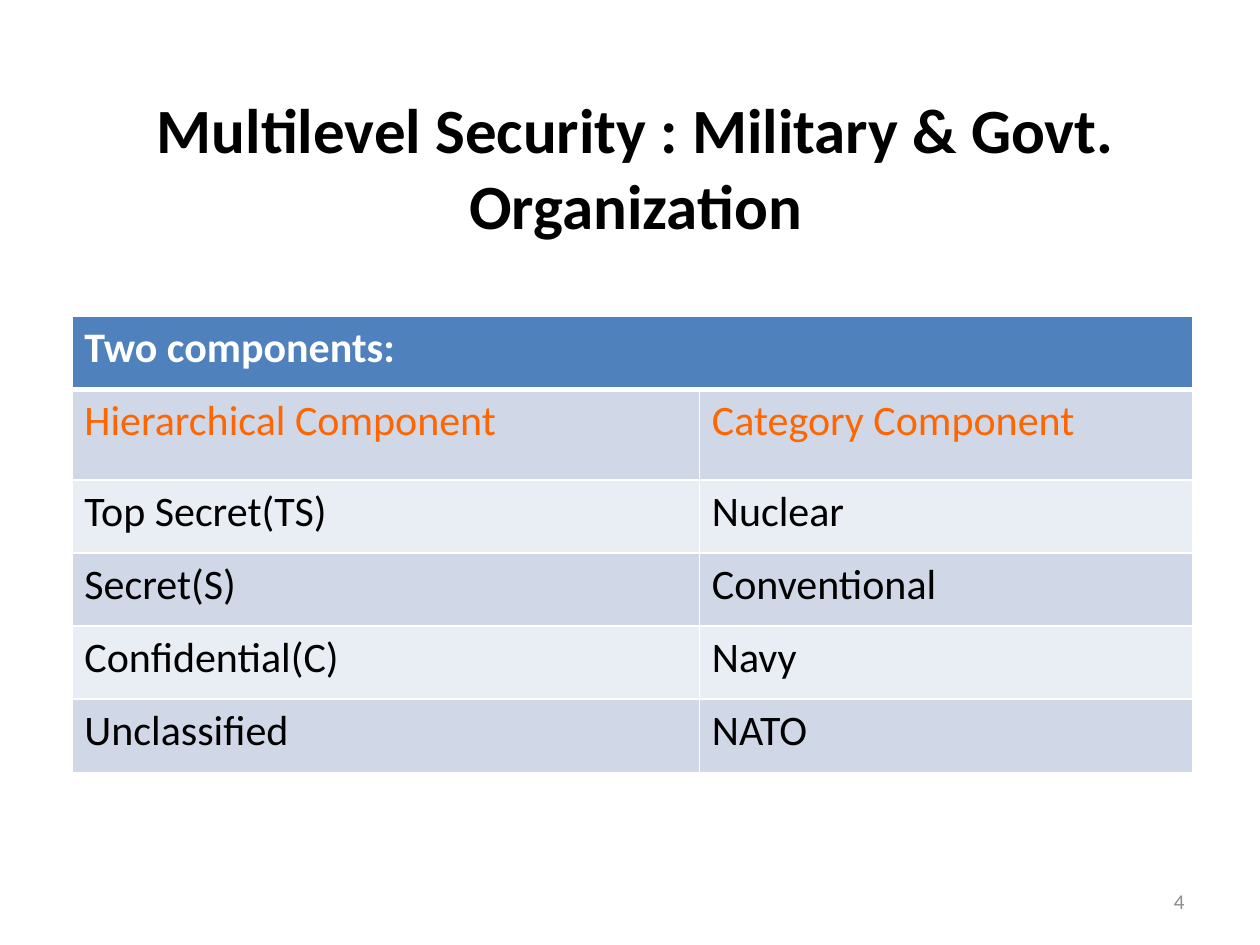
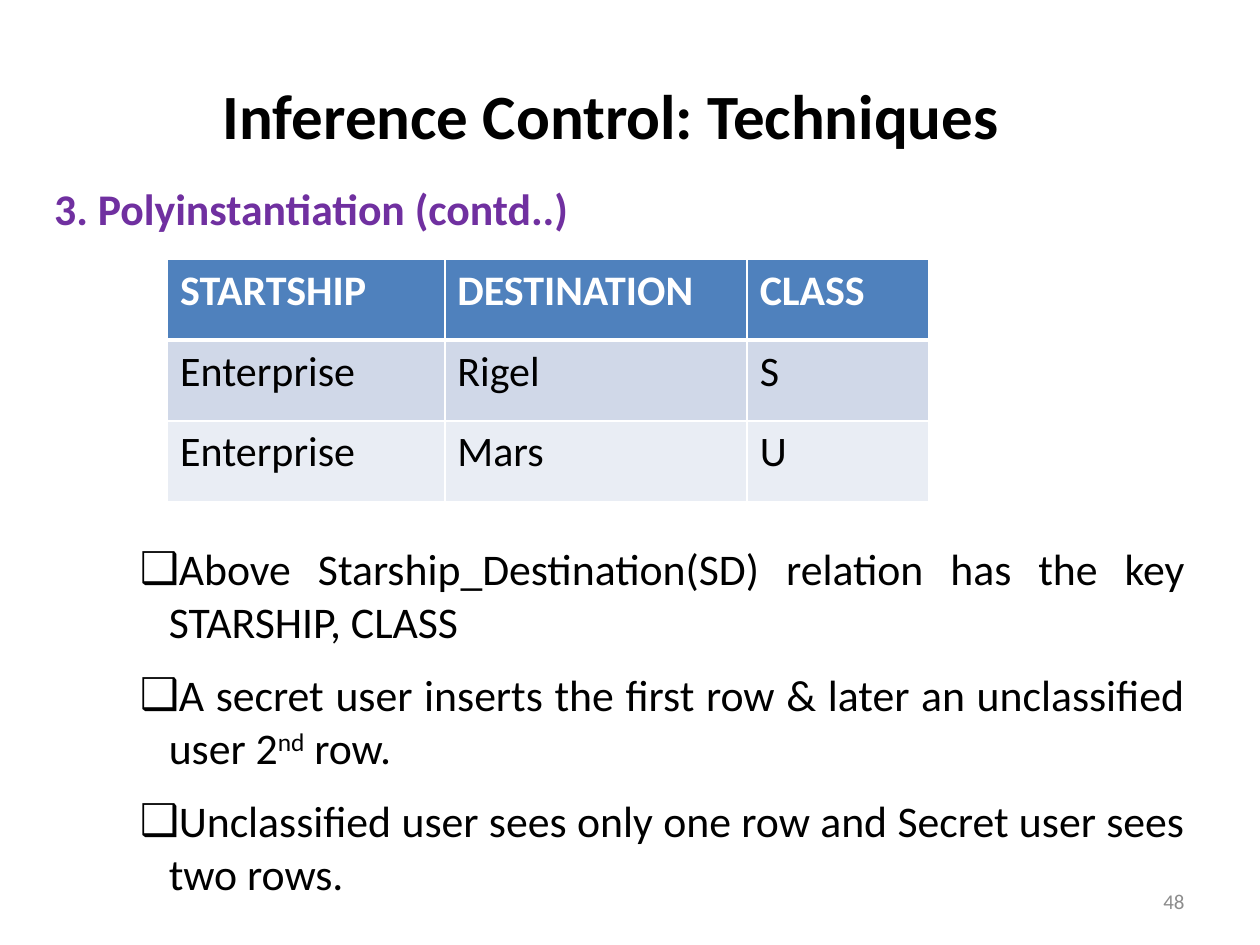
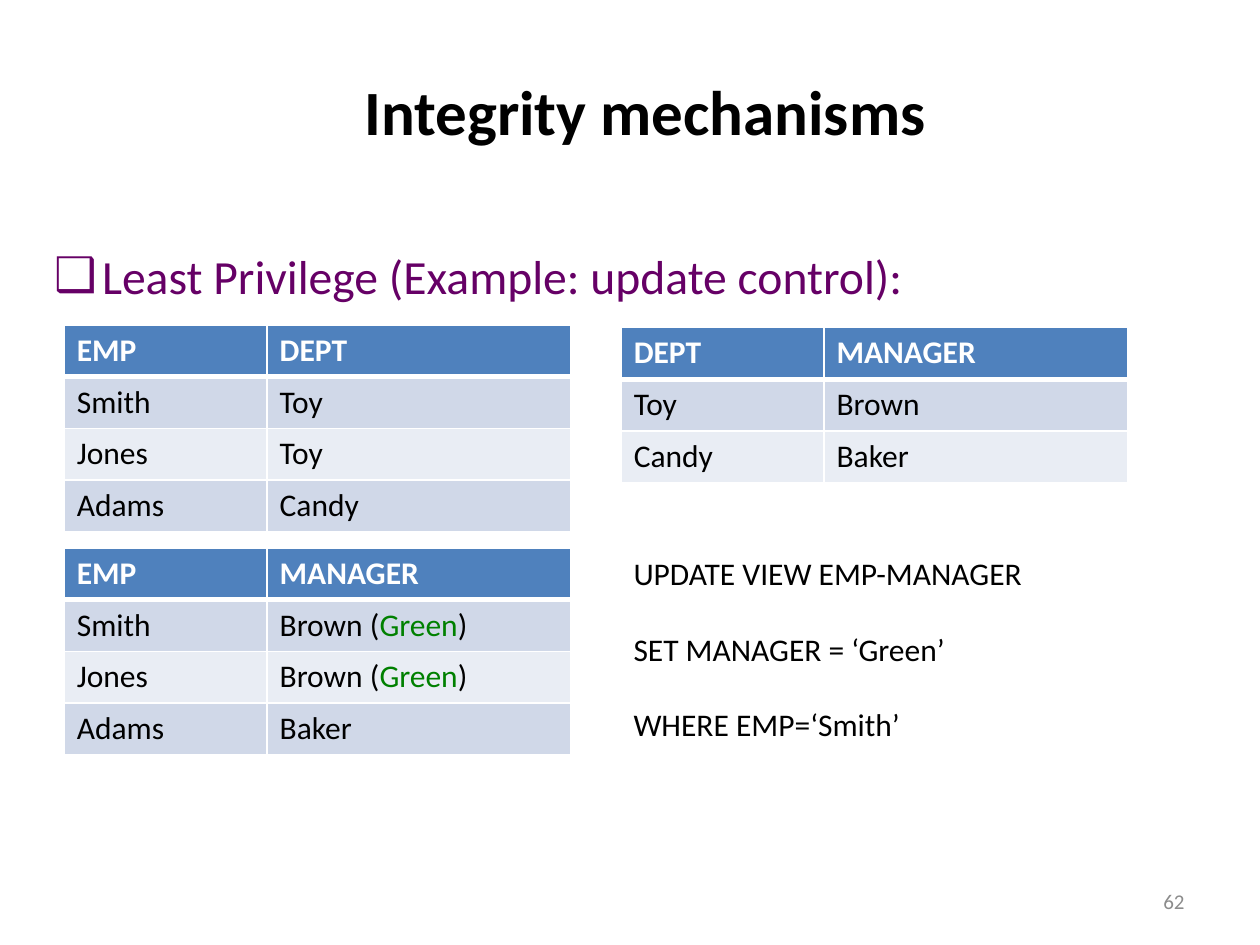
"""Builds three database security slides: tables, lists and a short query."""
from lxml.etree import SubElement
from pptx import Presentation
from pptx.dml.color import RGBColor
from pptx.enum.text import MSO_ANCHOR as Anchor, MSO_AUTO_SIZE as AutoSize, PP_ALIGN as Align
from pptx.oxml import parse_xml
from pptx.oxml.ns import nsdecls, qn
from pptx.util import Inches, Pt

COLORS = {
    "text": "000000", "white": "FFFFFF", "header": "4F81BD", "dark_band": "D0D8E8",
    "light_band": "E9EDF4", "orange": "FF6600", "purple": "7030A0", "plum": "660066",
    "green": "008000", "number": "8C8C8C",
}
FONT = "Calibri"
TITLE_ONLY, TITLE_AND_BODY = 5, 1


def write(para, text, size=18, color="text", bold=False, superscript=False):
    """Add one formatted run to a paragraph."""
    span = para.add_run()
    span.text = text
    span.font.name = FONT
    span.font.size = Pt(size)
    span.font.bold = bold
    span.font.color.rgb = RGBColor.from_string(COLORS[color])
    if superscript:
        span.font._element.set("baseline", "30000")


def write_parts(para, content, **style):
    """Write a plain string, or a list of strings and (string, changes) pairs."""
    for part in [content] if isinstance(content, str) else content:
        text, changes = (part, {}) if isinstance(part, str) else part
        write(para, text, **{**style, **changes})


def place(shape, left, top, width, height):
    """Move and size a shape, in inches."""
    shape.left, shape.top = Inches(left), Inches(top)
    shape.width, shape.height = Inches(width), Inches(height)


def set_indent(para, margin, hanging, bullet=None):
    """Set the paragraph indent and its bullet character."""
    properties = para._p.get_or_add_pPr()
    properties.set("marL", str(Inches(margin)))
    properties.set("indent", str(Inches(-hanging)))
    if bullet:
        SubElement(properties, qn("a:buChar")).set("char", bullet)
    else:
        SubElement(properties, qn("a:buNone"))


def set_borders(cell, top=1, bottom=1):
    """Draw white lines around a table cell."""
    properties = cell._tc.get_or_add_tcPr()
    widths = {"lnL": 1, "lnR": 1, "lnT": top, "lnB": bottom}
    for index, (side, width) in enumerate(widths.items()):
        properties.insert(index, parse_xml(
            f'<a:{side} {nsdecls("a")} w="{Pt(width)}"><a:solidFill>'
            f'<a:srgbClr val="{COLORS["white"]}"/></a:solidFill></a:{side}>'))


class SlideMaker:
    """Holds the deck and the current page, and adds elements in the shared style."""

    def __init__(self):
        """Start an empty 10 by 7.5 inch deck."""
        self.deck = Presentation()
        self.deck.slide_width, self.deck.slide_height = Inches(10), Inches(7.5)
        self.page = None

    def new_page(self, layout, title, title_area, number):
        """Start a page with its title and number."""
        self.page = self.deck.slides.add_slide(self.deck.slide_layouts[layout])
        heading = self.page.shapes.title
        place(heading, *title_area)
        frame = heading.text_frame
        frame.auto_size = AutoSize.NONE
        frame.vertical_anchor = Anchor.MIDDLE
        frame.paragraphs[0].alignment = Align.CENTER
        write(frame.paragraphs[0], title, size=36, bold=True)
        frame = self.text([str(number)], 7.17, 6.95, 2.33, 0.4, size=12, color="number")
        frame.vertical_anchor = Anchor.MIDDLE
        frame.paragraphs[0].alignment = Align.RIGHT

    def text(self, lines, left, top, width, height, gap=0, **style):
        """Add a text box with one paragraph a line and return its frame."""
        box = self.page.shapes.add_textbox(
            Inches(left), Inches(top), Inches(width), Inches(height))
        frame = box.text_frame
        frame.word_wrap = True
        for index, line in enumerate(lines):
            para = frame.add_paragraph() if index else frame.paragraphs[0]
            para.space_before = Pt(gap if index else 0)
            write(para, line, **style)
        return frame

    def body(self, left, top, width, height):
        """Move the body placeholder and return its frame."""
        box = self.page.placeholders[1]
        place(box, left, top, width, height)
        box.text_frame.auto_size = AutoSize.NONE
        return box.text_frame

    def table(self, rows, left, top, widths, heights, size=18):
        """Add a banded table with a header row and return it."""
        table = self.page.shapes.add_table(
            len(rows), len(widths), Inches(left), Inches(top),
            Inches(sum(widths)), Inches(sum(heights))).table
        for column, width in zip(table.columns, widths):
            column.width = Inches(width)
        for index, (row, height) in enumerate(zip(rows, heights)):
            table.rows[index].height = Inches(height)
            header = index == 0
            band = "header" if header else "dark_band" if index % 2 else "light_band"
            for cell, content in zip(table.rows[index].cells, row):
                cell.fill.solid()
                cell.fill.fore_color.rgb = RGBColor.from_string(COLORS[band])
                set_borders(cell, top=3 if index == 1 else 1, bottom=3 if header else 1)
                write_parts(cell.text_frame.paragraphs[0], content, size=size,
                            color="white" if header else "text", bold=header)
        return table


def multilevel_security(maker):
    """Build the page on military and government levels."""
    maker.new_page(TITLE_ONLY, "Multilevel Security : Military & Govt. Organization",
                   (0.96, 0.53, 8.17, 1.58), 4)
    orange = {"color": "orange"}
    rows = [
        ("Two components:", []),
        ([("Hierarchical Component", orange)], [("Category Component", orange)]),
        ("Top Secret(TS)", "Nuclear"),
        ("Secret(S)", "Conventional"),
        ("Confidential(C)", "Navy"),
        ("Unclassified", "NATO"),
    ]
    table = maker.table(rows, 0.57, 2.51, (4.98, 3.92), [0.58, 0.72] + [0.58] * 4, size=24)
    table.cell(0, 0).merge(table.cell(0, 1))


def inference_control(maker):
    """Build the page on polyinstantiation."""
    maker.new_page(TITLE_AND_BODY, "Inference Control: Techniques", (0.33, 0.42, 9.04, 0.97), 48)
    frame = maker.body(0.33, 1.39, 9.17, 5.56)
    heading = frame.paragraphs[0]
    heading.alignment = Align.JUSTIFY
    set_indent(heading, 0.5, 0.5)
    write(heading, "3. Polyinstantiation (contd..)", size=25, color="purple", bold=True)
    points = [
        "Above Starship_Destination(SD) relation has the key STARSHIP, CLASS",
        ["A secret user inserts the first row & later an unclassified user 2",
         ("nd", {"superscript": True}), " row."],
        "Unclassified user sees only one row and Secret user sees two rows.",
    ]
    table_gap = 176
    for index, point in enumerate(points):
        para = frame.add_paragraph()
        para.alignment = Align.JUSTIFY
        para.space_before = Pt(6 if index else table_gap)
        para.space_after = Pt(6)
        set_indent(para, 0.91, 0.23, "❑")
        write_parts(para, point, size=25)
    rows = [
        ("STARTSHIP", "DESTINATION", "CLASS"),
        ("Enterprise", "Rigel", "S"),
        ("Enterprise", "Mars", "U"),
    ]
    maker.table(rows, 1.33, 2.06, (2.2, 2.4, 1.44), [0.64] * 3, size=24)


def integrity_mechanisms(maker):
    """Build the page on least privilege."""
    maker.new_page(TITLE_AND_BODY, "Integrity mechanisms", (0.6, 0.36, 9.04, 1.03), 62)
    para = maker.body(0.33, 1.91, 7.35, 0.61).paragraphs[0]
    set_indent(para, 0.38, 0.38, "❑")
    write(para, "Least Privilege (Example: update control):", size=27.2, color="plum")
    left, right, lower = 0.51, 4.93, 4.35
    new_manager = ["Brown (", ("Green", {"color": "green"}), ")"]
    tables = [
        (left, 2.58, [("EMP", "DEPT"), ("Smith", "Toy"), ("Jones", "Toy"), ("Adams", "Candy")]),
        (right, 2.6, [("DEPT", "MANAGER"), ("Toy", "Brown"), ("Candy", "Baker")]),
        (left, lower, [("EMP", "MANAGER"), ("Smith", new_manager), ("Jones", new_manager),
                       ("Adams", "Baker")]),
    ]
    for x, y, rows in tables:
        maker.table(rows, x, y, (1.61, 2.41), [0.41] * len(rows))
    query = ["UPDATE VIEW EMP-MANAGER", "SET MANAGER = ‘Green’", "WHERE EMP=‘Smith’"]
    maker.text(query, right, lower, 4.73, 1.62, gap=21.5)


def main():
    """Build every page and save the deck."""
    maker = SlideMaker()
    multilevel_security(maker)
    inference_control(maker)
    integrity_mechanisms(maker)
    maker.deck.save("out.pptx")


if __name__ == "__main__":
    main()
